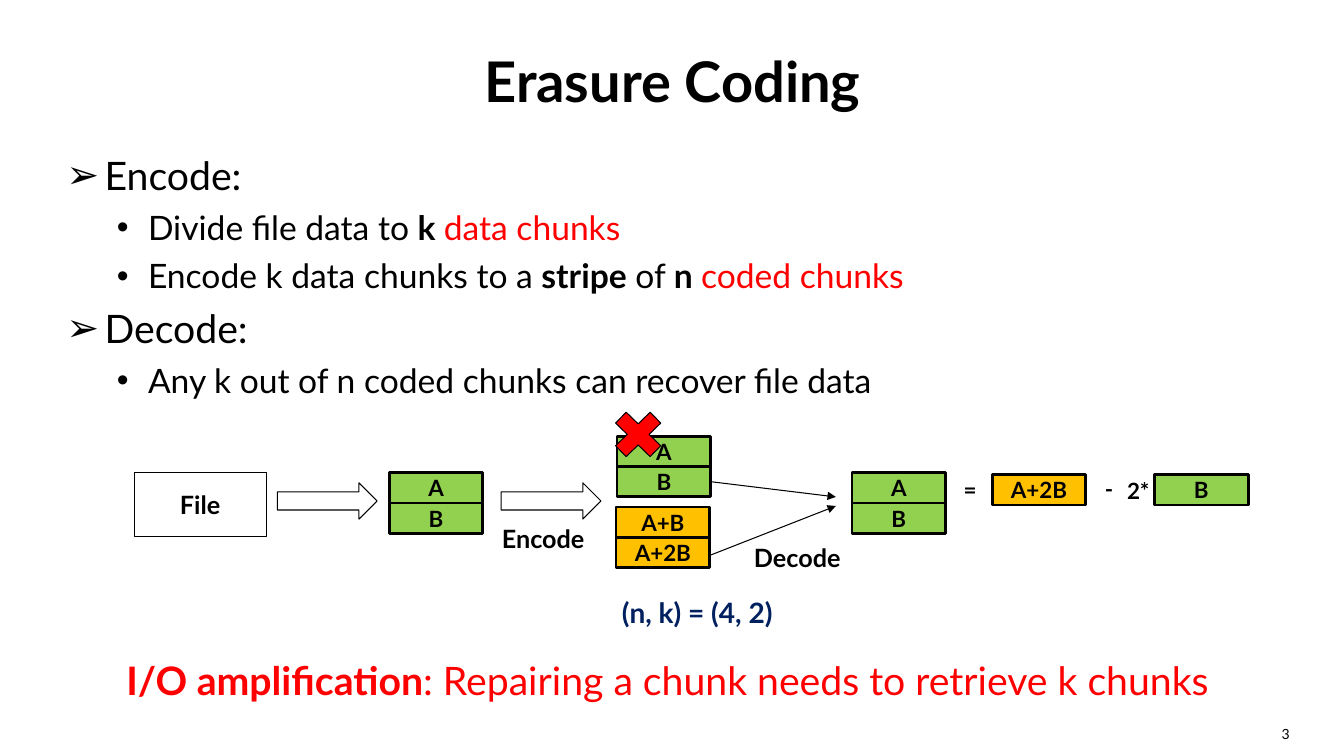
from lxml import etree
from pptx import Presentation
from pptx.dml.color import RGBColor
from pptx.enum.shapes import MSO_CONNECTOR as Connector, MSO_SHAPE as Shape
from pptx.enum.text import MSO_ANCHOR as Anchor, PP_ALIGN as Align
from pptx.oxml.ns import qn
from pptx.util import Inches, Pt

COLORS = {
    "black": "000000",
    "red": "FF0000",
    "green": "92D050",
    "orange": "FFC000",
    "navy": "002060",
}

deck = Presentation()
deck.slide_width, deck.slide_height = Inches(13.33), Inches(7.5)
page = deck.slides.add_slide(deck.slide_layouts[6])


def write(para, spans, size, align=Align.LEFT):
    para.alignment = align
    for words, color, bold in spans:
        span = para.add_run()
        span.text = words
        span.font.name = "Lato"
        span.font.size = Pt(size)
        span.font.bold = bold
        span.font.color.rgb = RGBColor.from_string(COLORS[color])


def draw(kind, place, fill=None, weight=0.75, label=None, size=16):
    shape = page.shapes.add_shape(kind, *map(Inches, place))
    shape.shadow.inherit = False
    shape.line.color.rgb = RGBColor.from_string(COLORS["black"])
    shape.line.width = Pt(weight)
    if fill:
        shape.fill.solid()
        shape.fill.fore_color.rgb = RGBColor.from_string(COLORS[fill])
    else:
        shape.fill.background()
    if label:
        frame = shape.text_frame
        frame.margin_top = frame.margin_bottom = 0
        frame.vertical_anchor = Anchor.MIDDLE
        write(frame.paragraphs[0], [(label, "black", True)], size, Align.CENTER)


texts = [
    ((0.67, 0.17, 12, 1.25), [("Erasure Coding", "black", True)], 40, Align.CENTER, Anchor.MIDDLE),
    ((9.78, 7.15, 3.11, 0.35), [("3", "black", False)], 10, Align.RIGHT, Anchor.TOP),
    ((4.88, 5.14, 1.23, 0.4), [("Encode", "black", True)], 18, Align.LEFT, Anchor.TOP),
    ((7.38, 5.33, 1.26, 0.4), [("Decode", "black", True)], 18, Align.LEFT, Anchor.TOP),
    ((6.07, 5.86, 1.92, 0.44), [("(n, k) = (4, 2)", "navy", True)], 20, Align.LEFT, Anchor.TOP),
    ((0.87, 6.33, 11.5, 0.83), [
        ("I/O amplification", "red", True),
        (": Repairing a chunk needs to retrieve k chunks", "red", False),
    ], 28, Align.CENTER, Anchor.MIDDLE),
    ((9.46, 4.67, 0.33, 0.37), [("=", "black", True)], 16, Align.LEFT, Anchor.TOP),
    ((10.86, 4.66, 0.3, 0.37), [("-", "black", True)], 16, Align.LEFT, Anchor.TOP),
    ((11.08, 4.68, 0.5, 0.37), [("2*", "black", True)], 16, Align.LEFT, Anchor.TOP),
]
for place, spans, size, align, anchor in texts:
    box = page.shapes.add_textbox(*map(Inches, place))
    box.text_frame.word_wrap = True
    box.text_frame.vertical_anchor = anchor
    write(box.text_frame.paragraphs[0], spans, size, align)

bullets = [
    (0, [("Encode:", "black", False)]),
    (1, [("Divide file data to ", "black", False), ("k ", "black", True),
         ("data chunks", "red", False)]),
    (1, [("Encode k data chunks to a ", "black", False), ("stripe", "black", True),
         (" of ", "black", False), ("n ", "black", True), ("coded chunks", "red", False)]),
    (0, [("Decode:", "black", False)]),
    (1, [("Any k out of n coded chunks can recover file data", "black", False)]),
]
levels = [("➢", 28, 0.38, -0.38), ("•", 24, 0.81, -0.31)]
body = page.shapes.add_textbox(Inches(0.56), Inches(1.45), Inches(12.55), Inches(2.55))
body.text_frame.word_wrap = True
for index, (level, spans) in enumerate(bullets):
    mark, size, margin, indent = levels[level]
    para = body.text_frame.paragraphs[0] if index == 0 else body.text_frame.add_paragraph()
    para.level = level
    para.space_before = Pt(6)
    write(para, spans, size)
    props = para._p.get_or_add_pPr()
    props.set("marL", str(Inches(margin)))
    props.set("indent", str(Inches(indent)))
    etree.SubElement(props, qn("a:buFont")).set("typeface", "Arial")
    etree.SubElement(props, qn("a:buChar")).set("char", mark)

draw(Shape.RECTANGLE, (1.33, 4.69, 1.31, 0.63), label="File", size=18)
for left in (2.75, 4.97):
    draw(Shape.RIGHT_ARROW, (left, 4.79, 0.99, 0.36))

chunk_width, chunk_height = 0.93, 0.3
stacks = [
    (3.86, 4.69, "green", ["A", "B"]),
    (6.12, 4.33, "green", ["A", "B"]),
    (6.11, 5.03, "orange", ["A+B", "A+2B"]),
    (8.45, 4.69, "green", ["A", "B"]),
    (9.84, 4.71, "orange", ["A+2B"]),
    (11.45, 4.71, "green", ["B"]),
]
for left, top, color, chunks in stacks:
    for row, chunk in enumerate(chunks):
        place = (left, top + row * chunk_height, chunk_width, chunk_height)
        draw(Shape.RECTANGLE, place, color, 2, chunk)

for ends in ((7.06, 4.78, 8.29, 4.93), (7.04, 5.51, 8.29, 5.02)):
    arrow = page.shapes.add_connector(Connector.STRAIGHT, *map(Inches, ends))
    arrow.line.color.rgb = RGBColor.from_string(COLORS["black"])
    arrow.line.width = Pt(0.75)
    etree.SubElement(arrow.line._get_or_add_ln(), qn("a:tailEnd")).set("type", "triangle")
    etree.SubElement(arrow._element.spPr, qn("a:effectLst"))

draw(Shape.MATH_MULTIPLY, (6, 3.99, 0.66, 0.64), "red")

deck.save("out.pptx")
